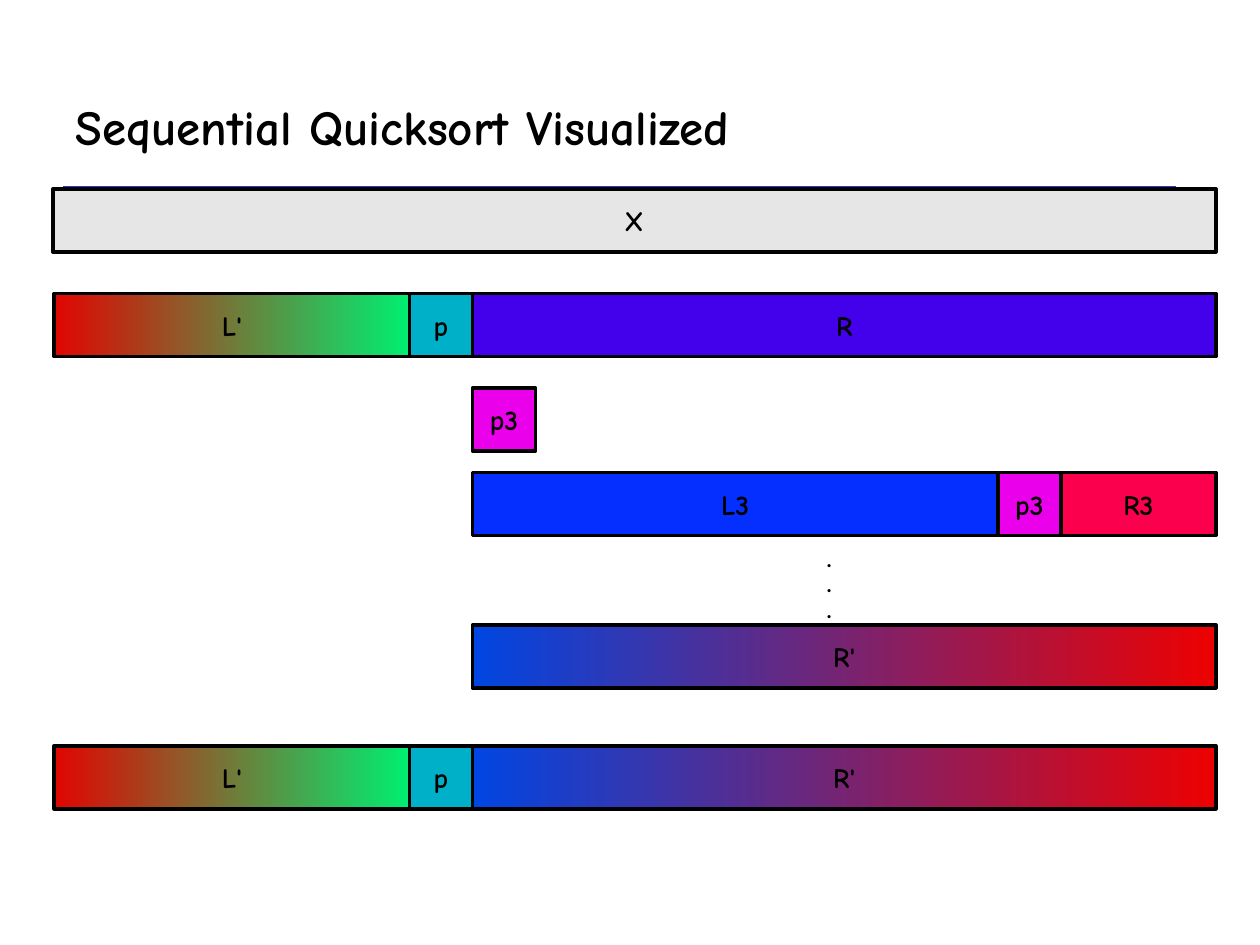
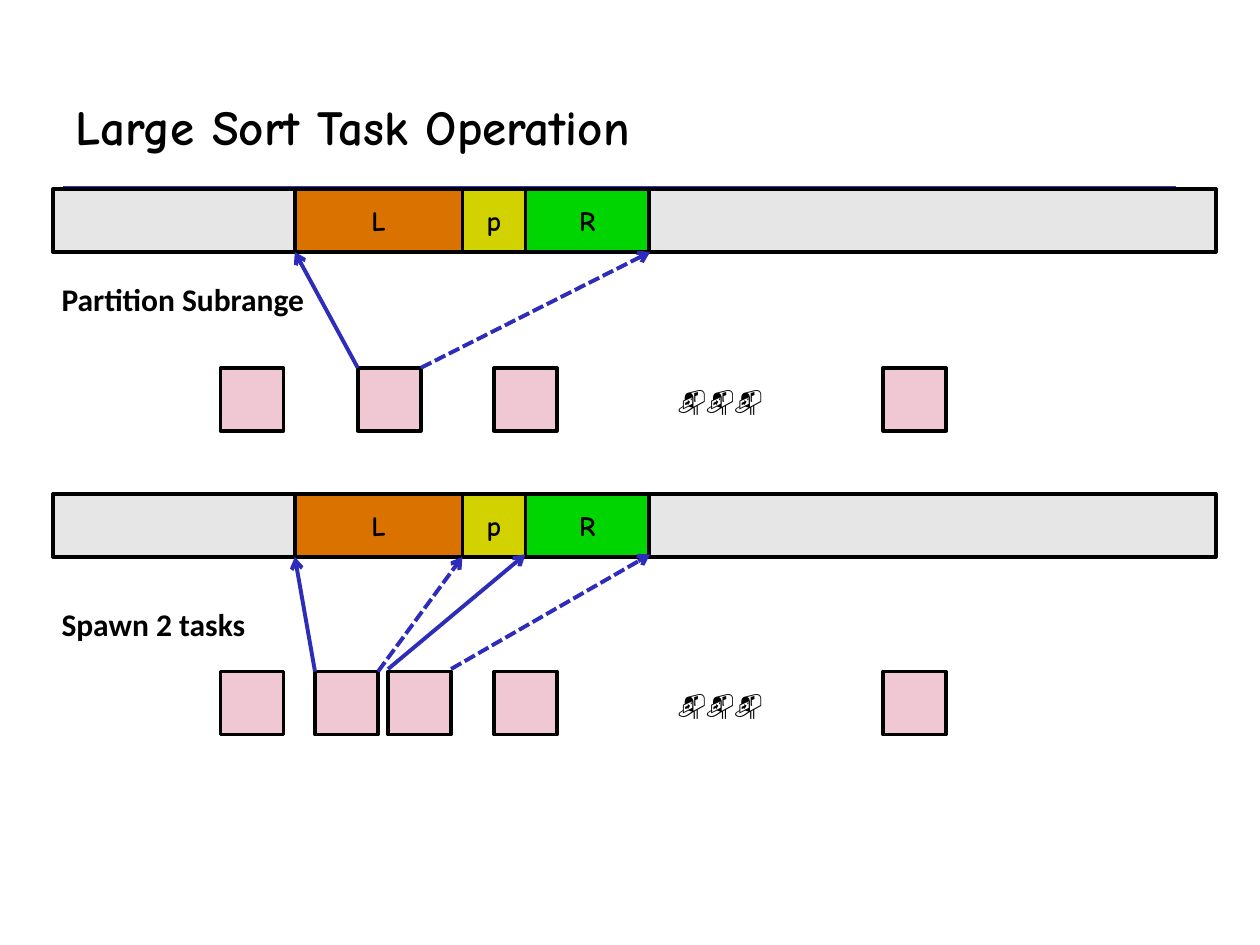
import pptx
import pptx.util
import pptx.dml.color
import pptx.enum.dml
import pptx.enum.shapes
import pptx.enum.text
import pptx.oxml
from pptx.oxml import ns

Inches, Pt = pptx.util.Inches, pptx.util.Pt
RGBColor = pptx.dml.color.RGBColor
ALIGN = pptx.enum.text.PP_ALIGN
ANCHOR = pptx.enum.text.MSO_ANCHOR

BLACK = RGBColor(0x00, 0x00, 0x00)
GREY = RGBColor(0xE6, 0xE6, 0xE6)
RULE = RGBColor(0x33, 0x33, 0xCC)
ARROW = RGBColor(0x2D, 0x2D, 0xB9)
PINK = RGBColor(0xF0, 0xC8, 0xD3)
TEAL = RGBColor(0x00, 0xB0, 0xC8)
VIOLET = RGBColor(0x43, 0x00, 0xEA)
MAGENTA = RGBColor(0xEA, 0x00, 0xEA)
BLUE = RGBColor(0x05, 0x2F, 0xFF)
CRIMSON = RGBColor(0xFA, 0x00, 0x4D)
ORANGE = RGBColor(0xDA, 0x72, 0x00)
OLIVE = RGBColor(0xD2, 0xD2, 0x00)
GREEN = RGBColor(0x01, 0xD5, 0x01)
LEFT_BLEND = RGBColor(0xE1, 0x06, 0x01), RGBColor(0x00, 0xEE, 0x71)
RIGHT_BLEND = RGBColor(0x00, 0x46, 0xE2), RGBColor(0xED, 0x01, 0x01)

COMIC = "Comic Neue"
SIDE = 0.5            # height of every bar and side of every square
BAR_X, BAR_W = 0.42, 9.23
RULE_Y = 1.5

# Cells of a bar: label, width, fill
LEFT = ("L'", 2.82, LEFT_BLEND)
PIVOT = ("p", SIDE, TEAL)
RIGHT = ("R", 5.9, VIOLET)
SORTED = ("R'", 5.9, RIGHT_BLEND)
PIVOT3 = ("p3", SIDE, MAGENTA)
SPLIT3 = [("L3", 4.17, BLUE), PIVOT3, ("R3", 1.23, CRIMSON)]
RANGE = [("L", 1.33, ORANGE), ("p", SIDE, OLIVE), ("R", 0.98, GREEN)]
RANGE_X = 2.34
RANGE_END = 5.16


def write(frame, text, size=16, font=COMIC, align=ALIGN.CENTER,
          anchor=ANCHOR.MIDDLE, wrap=False):
    frame.text = text
    frame.word_wrap = wrap
    frame.vertical_anchor = anchor
    for para in frame.paragraphs:
        para.alignment = align
        para.space_before = para.space_after = Pt(0)
        para.font.size = Pt(size)
        para.font.name = font
        para.font.bold = True
        para.font.color.rgb = BLACK


def label(slide, box, text, **style):
    shape = slide.shapes.add_textbox(*map(Inches, box))
    write(shape.text_frame, text, **style)


def cell(slide, x, y, width, fill, text=""):
    """Draw one outlined box; a pair of colours makes a gradient."""
    shape = slide.shapes.add_shape(
        pptx.enum.shapes.MSO_SHAPE.RECTANGLE,
        Inches(x), Inches(y), Inches(width), Inches(SIDE))
    shape.shadow.inherit = False
    if isinstance(fill, RGBColor):
        shape.fill.solid()
        shape.fill.fore_color.rgb = fill
    else:
        shape.fill.gradient()
        shape.fill.gradient_angle = 0
        for stop, color in zip(shape.fill.gradient_stops, fill):
            stop.color.rgb = color
    shape.line.color.rgb = BLACK
    shape.line.width = Pt(2)
    if text:
        write(shape.text_frame, text)


def row(slide, x, y, cells):
    """Draw cells side by side from x."""
    for text, width, fill in cells:
        cell(slide, x, y, width, fill, text)
        x += width


def line(slide, start, end, color, width):
    link = slide.shapes.add_connector(
        pptx.enum.shapes.MSO_CONNECTOR.STRAIGHT,
        *map(Inches, (*start, *end)))
    link.line.color.rgb = color
    link.line.width = Pt(width)
    props = link.element.spPr
    props.append(pptx.oxml.parse_xml(f"<a:effectLst {ns.nsdecls('a')}/>"))
    return link


def arrow(slide, start, end, dash=False):
    link = line(slide, start, end, ARROW, 2.25)
    if dash:
        link.line.dash_style = pptx.enum.dml.MSO_LINE.SQUARE_DOT
    link.line._get_or_add_ln().append(
        pptx.oxml.parse_xml(f'<a:tailEnd {ns.nsdecls("a")} type="arrow"/>'))


def add_page(deck, layout, title):
    slide = deck.slides.add_slide(layout)
    shape = slide.shapes.title
    shape.left, shape.top = Inches(0.5), Inches(0.5)
    shape.width, shape.height = Inches(8.83), Inches(1)
    write(shape.text_frame, title, size=28, align=ALIGN.LEFT, wrap=True)
    return slide


def add_rule(slide, layout):
    """Put the line under the title on the layout, so all slides share it."""
    rule = line(slide, (0.5, RULE_Y), (9.33, RULE_Y), RULE, 3)
    layout.shapes.element.append(rule.element)


def draw_sort(slide):
    left, mid = 0.43, 3.75
    cell(slide, BAR_X, RULE_Y, BAR_W, GREY, "X")
    row(slide, left, 2.33, [LEFT, PIVOT, RIGHT])
    row(slide, mid, 3.08, [PIVOT3])
    row(slide, mid, 3.75, SPLIT3)
    label(slide, (6.46, 4.29, 0.26, 0.71), ".\n.\n.", size=12,
          font="Calibri", align=ALIGN.LEFT, anchor=ANCHOR.TOP)
    row(slide, mid, 4.96, [SORTED])
    row(slide, left, 5.92, [LEFT, PIVOT, SORTED])


def draw_stage(slide, top, task_y, tasks, note, note_y, arrows):
    """Draw the array, its tasks below, and arrows (start, end x, dash)."""
    cell(slide, BAR_X, top, BAR_W, GREY)
    row(slide, RANGE_X, top, RANGE)
    for x in (1.75, *tasks, 3.92, 7.01):
        cell(slide, x, task_y, SIDE, PINK)
    label(slide, (4.42, task_y, 2.59, SIDE), "📬📬📬", font="Arial")
    label(slide, (0.39, note_y, 2.17, 0.4), note, size=18,
          font="Calibri", align=ALIGN.LEFT, anchor=ANCHOR.TOP)
    for x, end, lift, dash in arrows:
        arrow(slide, (x, task_y - lift), (end, top + SIDE - lift), dash)


def draw_tasks(slide):
    pivot = RANGE_X + RANGE[0][1]
    draw_stage(slide, RULE_Y, 2.92, [2.84], "Partition Subrange", 2.17, [
        (2.84, RANGE_X, 0, False),
        (3.34, RANGE_END, 0, True)])
    draw_stage(slide, 3.92, 5.33, [2.5, 3.08], "Spawn 2 tasks", 4.75, [
        (2.5, RANGE_X, 0, False),
        (3, pivot, 0, True),
        (3.08, pivot + SIDE, 0.02, False),
        (3.58, RANGE_END, 0.02, True)])


def main():
    deck = pptx.Presentation()
    deck.slide_width, deck.slide_height = Inches(10), Inches(7.5)
    layout = deck.slide_layouts[5]
    sort = add_page(deck, layout, "Sequential Quicksort Visualized")
    add_rule(sort, layout)
    draw_sort(sort)
    draw_tasks(add_page(deck, layout, "Large Sort Task Operation"))
    deck.save("out.pptx")


if __name__ == "__main__":
    main()
